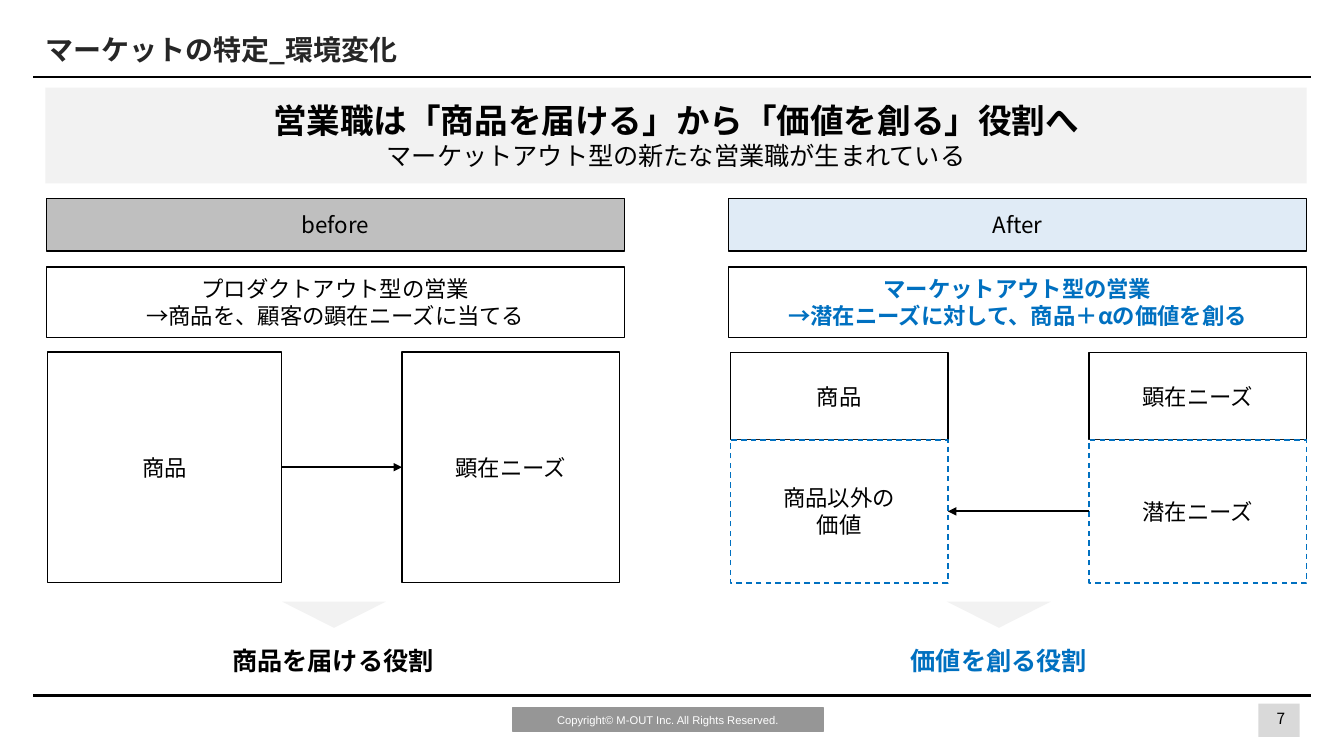
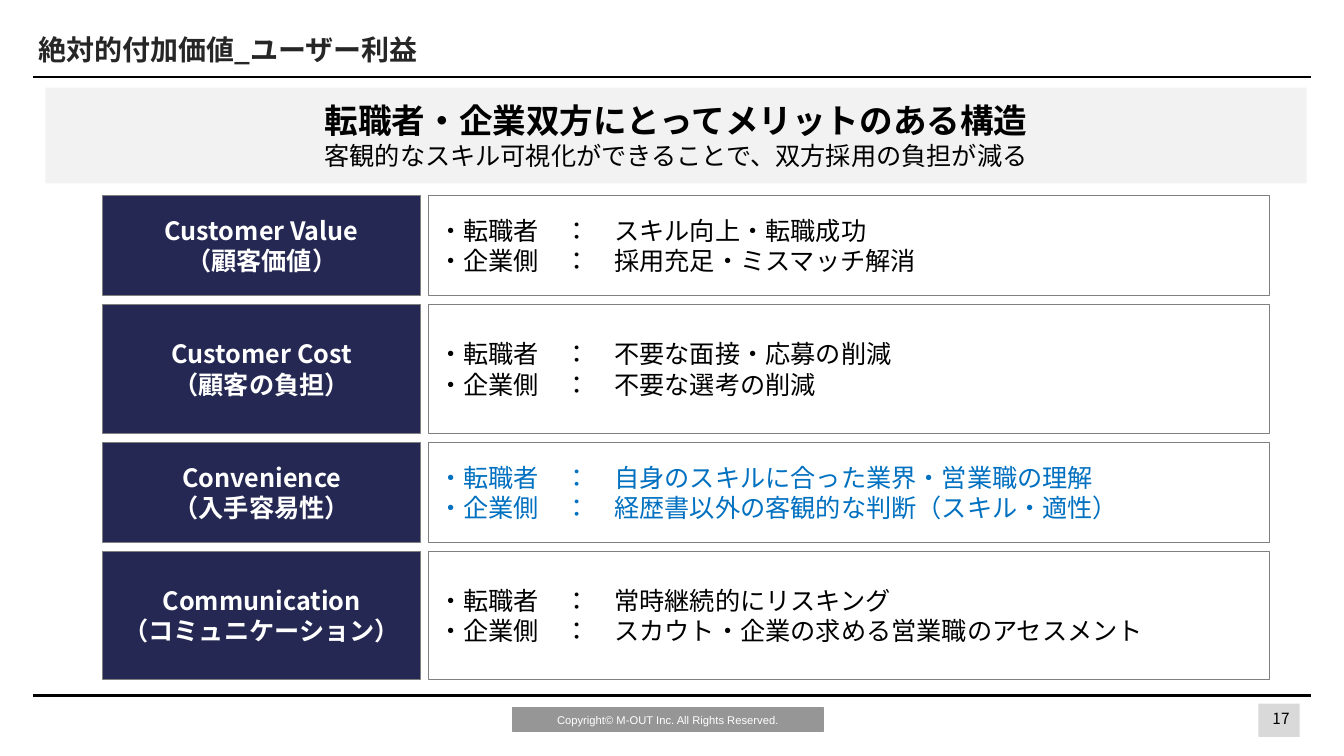
"""Build two slides on the changing sales role and its user benefits."""
from dataclasses import dataclass, replace
from typing import Optional

from lxml.etree import SubElement
from pptx import Presentation
from pptx.dml.color import RGBColor
from pptx.enum.dml import MSO_LINE
from pptx.enum.lang import MSO_LANGUAGE_ID
from pptx.enum.shapes import MSO_CONNECTOR, MSO_SHAPE
from pptx.enum.text import MSO_ANCHOR, PP_ALIGN
from pptx.oxml.ns import qn
from pptx.shapes.autoshape import Shape
from pptx.shapes.connector import Connector
from pptx.slide import Slide
from pptx.util import Pt


@dataclass(frozen=True)
class Theme:
    font: str = "Noto Sans CJK JP"
    footer_font: str = "Arial"
    black: str = "000000"
    white: str = "FFFFFF"
    title: str = "262626"
    accent: str = "0070C0"
    navy: str = "242852"
    band: str = "F2F2F2"
    before: str = "BFBFBF"
    after: str = "E0EBF6"
    border: str = "7F7F7F"
    footer: str = "969696"
    page: str = "D9D9D9"
    headline_size: float = 24
    title_size: float = 20
    large_size: float = 18
    body_size: float = 16
    page_size: float = 11
    footer_size: float = 8


T = Theme()


@dataclass(frozen=True)
class Box:
    x: float
    y: float
    w: float
    h: float


@dataclass(frozen=True)
class Style:
    size: float
    color: str = T.black
    bold: bool = False
    font: str = T.font


@dataclass(frozen=True)
class Line:
    text: str
    style: Style


@dataclass(frozen=True)
class Outline:
    color: str = T.black
    width: float = 1
    dashed: bool = False


@dataclass(frozen=True)
class Layout:
    align: PP_ALIGN = PP_ALIGN.CENTER
    anchor: MSO_ANCHOR = MSO_ANCHOR.MIDDLE
    wrap: bool = True
    inset_x: float = 7.2
    inset_y: float = 3.6


@dataclass(frozen=True)
class Side:
    x: float
    label: str
    fill: str
    style: Style
    statement: tuple[str, str]
    triangle_x: float
    role_x: float
    role: str


@dataclass(frozen=True)
class Benefit:
    name: tuple[str, str]
    seeker: str
    company: str
    height: float
    color: str = T.black


BODY = Style(T.body_size)
CENTERED = Layout()
LEFT = Layout(align=PP_ALIGN.LEFT)
UNWRAPPED = Layout(wrap=False)
TIGHT = Layout(wrap=False, inset_x=2.88, inset_y=2.88)
TOP = Layout(anchor=MSO_ANCHOR.TOP)
DASHED = Outline(T.accent, dashed=True)

SIDES = (
    Side(33.1, "before", T.before, BODY,
         ("プロダクトアウト型の営業", "→商品を、顧客の顕在ニーズに当てる"),
         201.6, 123.1, "商品を届ける役割"),
    Side(520.6, "After", T.after, Style(T.body_size, T.accent, True),
         ("マーケットアウト型の営業", "→潜在ニーズに対して、商品＋αの価値を創る"),
         676.8, 599, "価値を創る役割"),
)

BENEFITS = (
    Benefit(("Customer Value", "（顧客価値）"),
            "スキル向上・転職成功", "採用充足・ミスマッチ解消", 71.3),
    Benefit(("Customer Cost", "（顧客の負担）"),
            "不要な面接・応募の削減", "不要な選考の削減", 92.2),
    Benefit(("Convenience", "（入手容易性）"),
            "自身のスキルに合った業界・営業職の理解",
            "経歴書以外の客観的な判断（スキル・適性）", 71.3, T.accent),
    Benefit(("Communication", "（コミュニケーション）"),
            "常時継続的にリスキング",
            "スカウト・企業の求める営業職のアセスメント", 91.4),
)


def rgb(color: str) -> RGBColor:
    return RGBColor.from_string(color)


def lines(style: Style, *texts: str) -> list[Line]:
    return [Line(text, style) for text in texts]


def write(sp: Shape, content: list[Line], layout: Layout) -> None:
    tf = sp.text_frame
    tf.word_wrap = layout.wrap
    tf.vertical_anchor = layout.anchor
    tf.margin_left = tf.margin_right = Pt(layout.inset_x)
    tf.margin_top = tf.margin_bottom = Pt(layout.inset_y)
    for i, line in enumerate(content):
        p = tf.add_paragraph() if i else tf.paragraphs[0]
        p.alignment = layout.align
        r = p.add_run()
        r.text = line.text
        r.font.language_id = MSO_LANGUAGE_ID.JAPANESE
        r.font.name = line.style.font
        r.font.size = Pt(line.style.size)
        r.font.bold = line.style.bold
        r.font.color.rgb = rgb(line.style.color)
        SubElement(r.font._element, qn("a:ea"), typeface=line.style.font)


def add_text(s: Slide, box: Box, content: list[Line], layout: Layout) -> None:
    sp = s.shapes.add_textbox(Pt(box.x), Pt(box.y), Pt(box.w), Pt(box.h))
    write(sp, content, layout)


def add_box(s: Slide, box: Box, fill: str, content: Optional[list[Line]] = None,
            outline: Optional[Outline] = None, layout: Layout = CENTERED,
            kind: MSO_SHAPE = MSO_SHAPE.RECTANGLE) -> Shape:
    sp = s.shapes.add_shape(kind, Pt(box.x), Pt(box.y), Pt(box.w), Pt(box.h))
    sp.shadow.inherit = False
    sp.fill.solid()
    sp.fill.fore_color.rgb = rgb(fill)
    if outline:
        sp.line.color.rgb = rgb(outline.color)
        sp.line.width = Pt(outline.width)
        if outline.dashed:
            sp.line.dash_style = MSO_LINE.DASH
    else:
        sp.line.fill.background()
    if content:
        write(sp, content, layout)
    return sp


def add_line(s: Slide, x1: float, y1: float, x2: float, y2: float) -> Connector:
    c = s.shapes.add_connector(MSO_CONNECTOR.STRAIGHT, Pt(x1), Pt(y1), Pt(x2), Pt(y2))
    c.line.color.rgb = rgb(T.black)
    c.line.width = Pt(1.5)
    SubElement(c._element.spPr, qn("a:effectLst"))
    return c


def add_arrow(s: Slide, start: Shape, start_site: int, end: Shape, end_site: int) -> None:
    c = add_line(s, 0, 0, 0, 0)
    c.begin_connect(start, start_site)
    c.end_connect(end, end_site)
    SubElement(c._element.spPr.find(qn("a:ln")), qn("a:tailEnd"), type="triangle")


def add_frame(s: Slide, title: str, title_x: float, page: int,
              headline: str, subline: str) -> None:
    add_box(s, Box(899.3, 502.6, 29.5, 23.8), T.page)
    copyright_style = Style(T.footer_size, T.white, font=T.footer_font)
    add_box(s, Box(366.5, 505.4, 221.8, 17.3), T.footer,
            lines(copyright_style, "Copyright© M-OUT Inc. All Rights Reserved."),
            Outline(T.footer))
    for y in (54.7, 496.8):
        add_line(s, 23.8, y, 936.7, y)
    add_text(s, Box(904.3, 503.3, 22.3, 18), lines(Style(T.page_size), str(page)),
             replace(TOP, inset_x=0))
    add_text(s, Box(title_x, 15.1, 720, 39.6),
             lines(Style(T.title_size, T.title, True), title), LEFT)
    add_box(s, Box(32.4, 62.6, 901.4, 68.4), T.band,
            [Line(headline, Style(T.headline_size, bold=True)),
             Line(subline, Style(T.large_size))], layout=UNWRAPPED)


def add_node(s: Slide, box: Box, *texts: str, outline: Outline = Outline()) -> Shape:
    return add_box(s, box, T.white, lines(BODY, *texts), outline, TIGHT)


def add_side(s: Slide, side: Side) -> None:
    add_box(s, Box(side.x, 141.8, 413.3, 37.4), side.fill,
            lines(BODY, side.label), Outline(), TIGHT)
    add_box(s, Box(side.x, 190.8, 413.3, 50.4), T.white,
            lines(side.style, *side.statement), Outline(), TIGHT)
    sp = add_box(s, Box(side.triangle_x, 429.8, 74.2, 18.7), T.band,
                 kind=MSO_SHAPE.ISOSCELES_TRIANGLE)
    sp._element.spPr.find(qn("a:xfrm")).set("flipV", "1")
    role_style = Style(T.large_size, side.style.color, True)
    add_text(s, Box(side.role_x, 457.2, 229.7, 28.8), lines(role_style, side.role), TOP)


def build_role_change(s: Slide) -> None:
    add_frame(s, "マーケットの特定_環境変化", 25.2, 7,
              "営業職は「商品を届ける」から「価値を創る」役割へ",
              "マーケットアウト型の新たな営業職が生まれている")
    for side in SIDES:
        add_side(s, side)
    product = add_node(s, Box(34, 251.3, 167.4, 164.9), "商品")
    need = add_node(s, Box(287.3, 251.3, 155.5, 164.9), "顕在ニーズ")
    add_arrow(s, product, 3, need, 1)

    value_x, need_x, w = 522, 778.3, 155.5
    for x, text in ((value_x, "商品"), (need_x, "顕在ニーズ")):
        add_node(s, Box(x, 252, w, 62.2), text)
    value = add_node(s, Box(value_x, 314.2, w, 102.2), "商品以外の", "価値", outline=DASHED)
    latent = add_node(s, Box(need_x, 314.2, w, 102.2), "潜在ニーズ", outline=DASHED)
    add_arrow(s, latent, 1, value, 3)


def build_benefits(s: Slide) -> None:
    add_frame(s, "絶対的付加価値_ユーザー利益", 20.2, 17,
              "転職者・企業双方にとってメリットのある構造",
              "客観的なスキル可視化ができることで、双方採用の負担が減る")
    outline = Outline(T.border, 0.75)
    name_style = Style(T.large_size, T.white, True)
    y, gap = 139.7, 6.4
    for b in BENEFITS:
        add_box(s, Box(73.6, y, 226.8, b.height), T.navy,
                lines(name_style, *b.name), outline)
        sp = add_box(s, Box(306, y, 601.2, b.height), T.white,
                     lines(Style(T.large_size, b.color),
                           f"・転職者　：　{b.seeker}", f"・企業側　：　{b.company}"),
                     outline, LEFT)
        color = sp._element.spPr.find(qn("a:solidFill")).find(qn("a:srgbClr"))
        SubElement(color, qn("a:alpha"), val="20000")
        y += b.height + gap


def main() -> None:
    prs = Presentation()
    prs.slide_width, prs.slide_height = Pt(960.48), Pt(540)
    for build in (build_role_change, build_benefits):
        build(prs.slides.add_slide(prs.slide_layouts[6]))
    prs.save("out.pptx")


if __name__ == "__main__":
    main()
